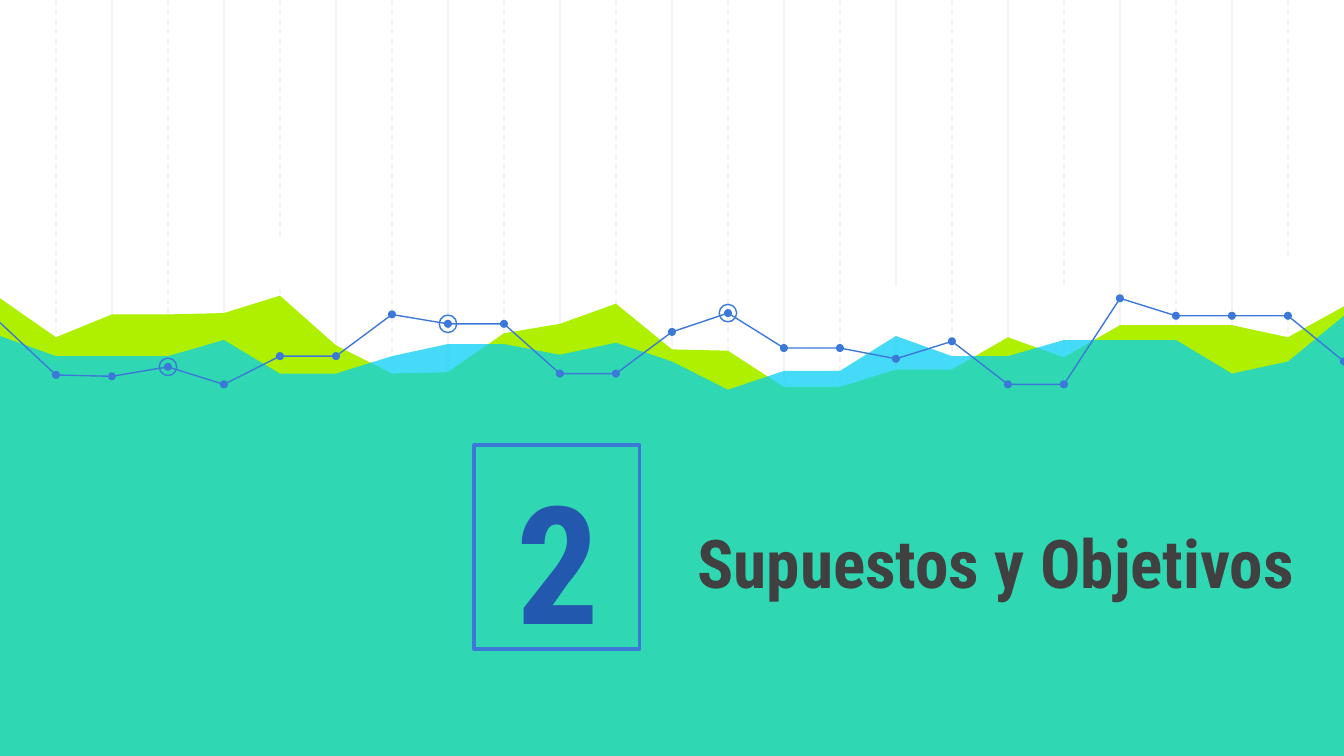
from typing import NamedTuple

from lxml import etree
from pptx import Presentation
from pptx.dml.color import RGBColor
from pptx.enum import dml, shapes, text
from pptx.oxml import ns
from pptx.util import Inches, Pt

WIDTH = 10
HEIGHT = WIDTH * 9 / 16
STEP = WIDTH / 24  # one grid column
BLUE, GREEN, CYAN = "3C78D8", "AFF000", "00CEF6"
WHITE, GREY = "FFFFFF", "F3F3F3"
FONT = "Roboto Condensed"

# Heights at each grid column, from the left edge to the right
HILLS = [2.22, 2.51, 2.34, 2.34, 2.33, 2.2, 2.57, 2.78, 2.77, 2.48, 2.41, 2.26, 2.6,
         2.61, 2.88, 2.88, 2.75, 2.75, 2.51, 2.66, 2.42, 2.42, 2.42, 2.51, 2.28]
WAVES = [2.5, 2.65, 2.65, 2.65, 2.53, 2.78, 2.78, 2.65, 2.56, 2.56, 2.64, 2.55, 2.69,
         2.9, 2.76, 2.76, 2.5, 2.65, 2.65, 2.53, 2.53, 2.53, 2.78, 2.69, 2.35]
TREND = [2.4, 2.79, 2.8, 2.73, 2.86, 2.65, 2.65, 2.34, 2.41, 2.41, 2.78, 2.78, 2.47,
         2.33, 2.59, 2.59, 2.67, 2.54, 2.86, 2.86, 2.22, 2.35, 2.35, 2.35, 2.69]


class Box(NamedTuple):
    left: float
    top: float
    width: float
    height: float

    def lengths(self) -> list:
        return [Inches(v) for v in self]


def color(code: str) -> RGBColor:
    return RGBColor.from_string(code)


def style(shape, fill: str | None = None, line: str | None = None, weight: float = 0.75):
    shape.shadow.inherit = False
    if fill:
        shape.fill.solid()
        shape.fill.fore_color.rgb = color(fill)
    else:
        shape.fill.background()
    if line:
        shape.line.color.rgb = color(line)
        shape.line.width = Pt(weight)
    else:
        shape.line.fill.background()
    return shape


def add_rule(x: float, dashed: bool) -> None:
    rule = slide.shapes.add_connector(
        shapes.MSO_CONNECTOR.STRAIGHT, Inches(x), 0, Inches(x), Inches(HEIGHT))
    rule.line.color.rgb = color(GREY)
    rule.line.width = Pt(0.75)
    if dashed:
        rule.line.dash_style = dml.MSO_LINE.DASH
    etree.SubElement(rule._element.spPr, ns.qn("a:effectLst"))


def add_path(points: list, close: bool):
    spots = [(Inches(x), Inches(y)) for x, y in points]
    pen = slide.shapes.build_freeform(*spots[0])
    pen.add_line_segments(spots[1:], close=close)
    return pen.convert_to_shape()


def add_area(tops: list[float], fill: str):
    points = [(i * STEP, y) for i, y in enumerate(tops)]
    base = [(WIDTH, HEIGHT), (0, HEIGHT)]
    return style(add_path(points + base, True), fill)


def add_shape(kind, box: Box, **look):
    return style(slide.shapes.add_shape(kind, *box.lengths()), **look)


def add_dot(i: int, size: float, **look) -> None:
    box = Box(i * STEP - size / 2, TREND[i] - size / 2, size, size)
    add_shape(shapes.MSO_SHAPE.OVAL, box, **look)


def set_text(shape, words: str, size: int, code: str, align) -> None:
    frame = shape.text_frame
    frame.text = words
    frame.word_wrap = True
    frame.auto_size = text.MSO_AUTO_SIZE.NONE
    frame.vertical_anchor = text.MSO_ANCHOR.BOTTOM
    frame.margin_left = frame.margin_right = Inches(0.1)
    frame.margin_top = frame.margin_bottom = Inches(0.1)
    line = frame.paragraphs[0]
    line.alignment = align
    line.font.name, line.font.size, line.font.bold = FONT, Pt(size), True
    line.font.color.rgb = color(code)


deck = Presentation()
deck.slide_width, deck.slide_height = Inches(WIDTH), Inches(HEIGHT)
slide = deck.slides.add_slide(deck.slide_layouts[0])
tree = slide.shapes._spTree
tree.remove(slide.placeholders[1]._element)

# Grid: solid on even columns, dashed on odd ones
for i in range(1, 24):
    add_rule(i * STEP, dashed=i % 2 == 1)

# Areas
add_area(HILLS, GREEN)
waves = add_area(WAVES, CYAN)
tint = waves.fill._xPr.find(".//" + ns.qn("a:srgbClr"))
etree.SubElement(tint, ns.qn("a:alpha"), val="73000")

# Trend line in three spans, with dots and rings
for start, end in [(0, 11), (11, 20), (20, 24)]:
    points = [(i * STEP, TREND[i]) for i in range(start, end + 1)]
    style(add_path(points, False), line=BLUE)
for i in range(1, 25):
    add_dot(i, 0.06, fill=BLUE)
for i in (3, 8, 13):
    add_dot(i, 0.13, line=BLUE)

# Title, brought in front of the areas
title = slide.shapes.title
tree.append(title._element)
title.left, title.top, title.width, title.height = Box(5.03, 3.31, 4.7, 1.27).lengths()
set_text(title, "Supuestos y Objetivos", 36, "404040", text.PP_ALIGN.RIGHT)

# Section number
number = slide.shapes.add_textbox(*Box(3.3, 2.92, 1.7, 2.07).lengths())
set_text(number, "2", 88, "2258AD", text.PP_ALIGN.CENTER)

# White patches that cut the grid lines short
for left, top in [(1.91, 1.77), (6.51, 2.13), (9.45, 1.94), (7.77, 2.13)]:
    add_shape(shapes.MSO_SHAPE.RECTANGLE, Box(left, top, 0.28, 0.37), fill=WHITE)

# Frame round the number
add_shape(shapes.MSO_SHAPE.RECTANGLE, Box(3.53, 3.31, 1.23, 1.52), line=BLUE, weight=2)

deck.save("out.pptx")
